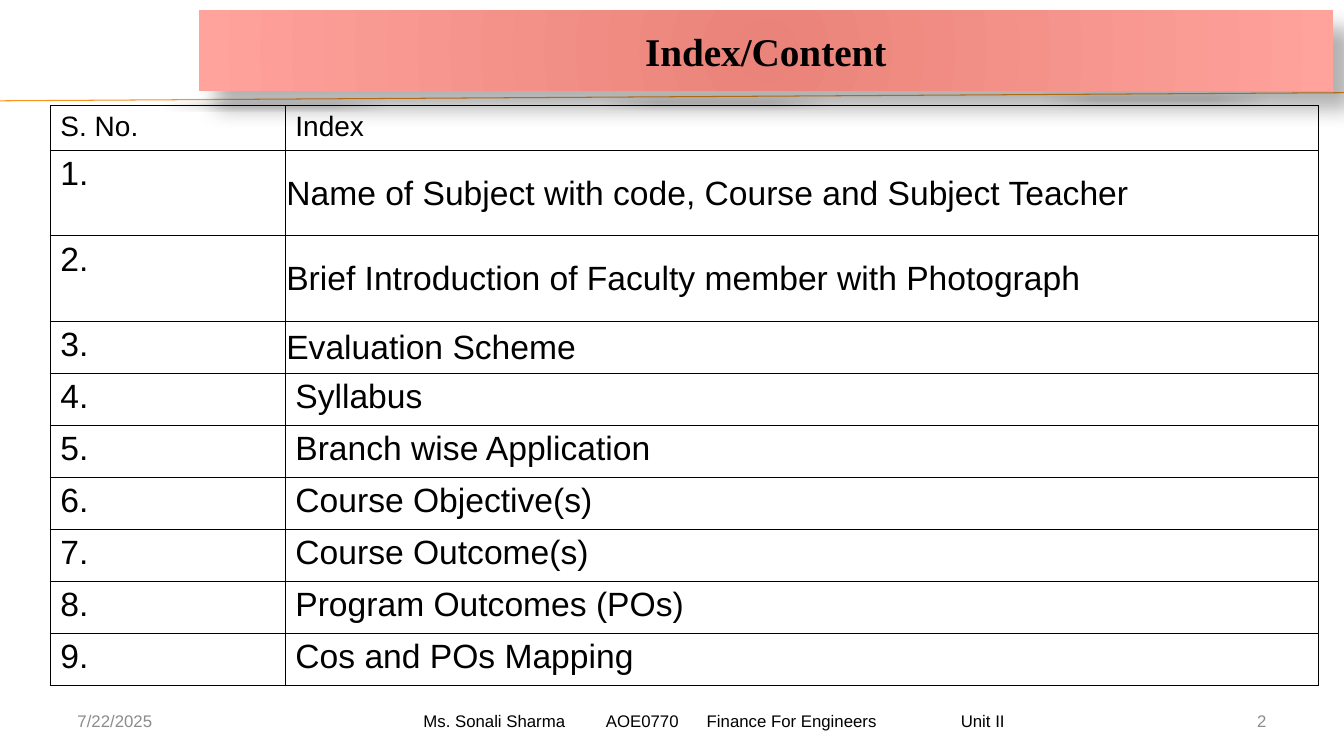
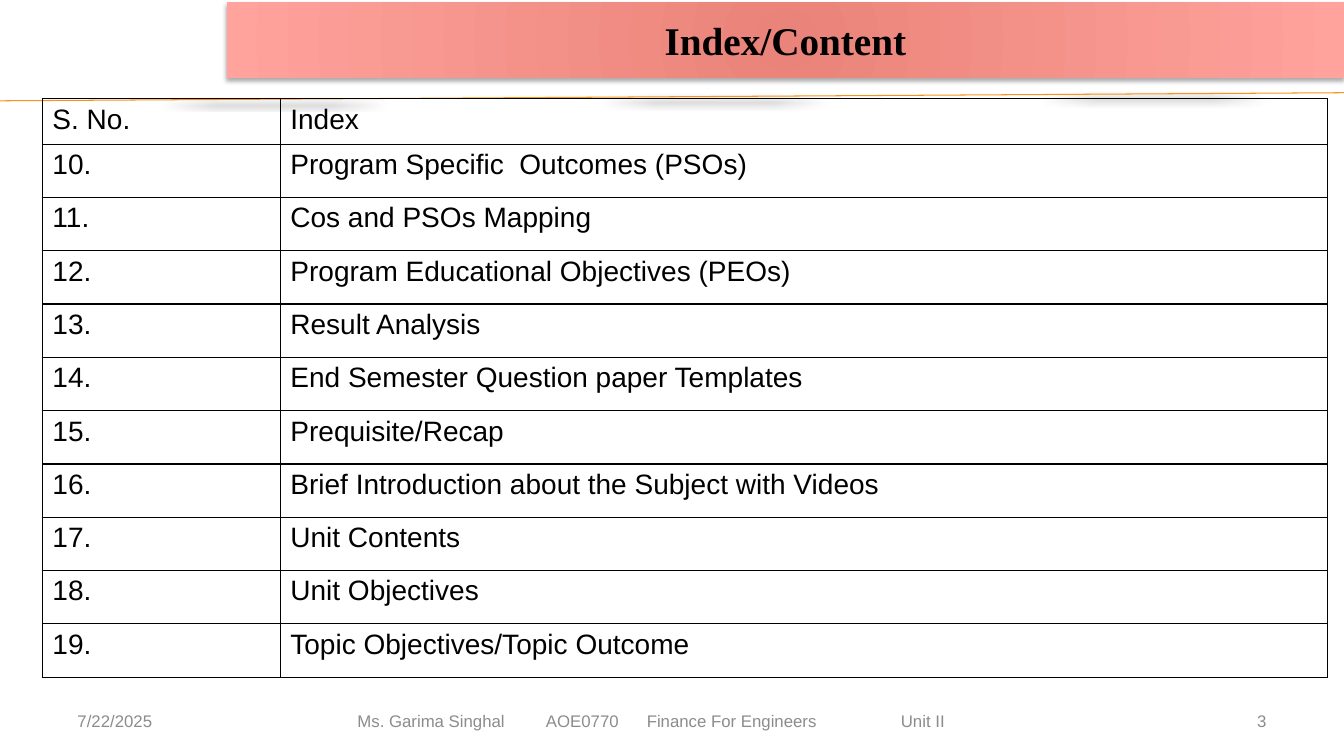
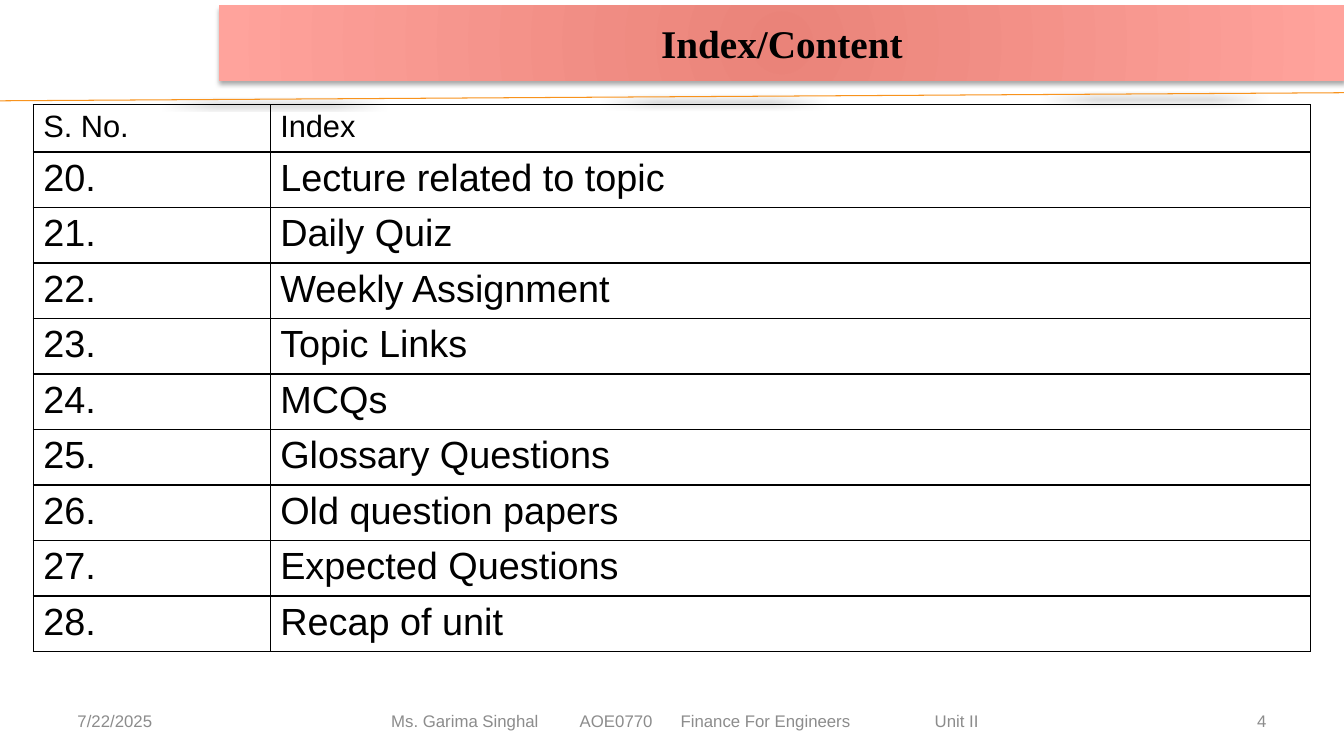
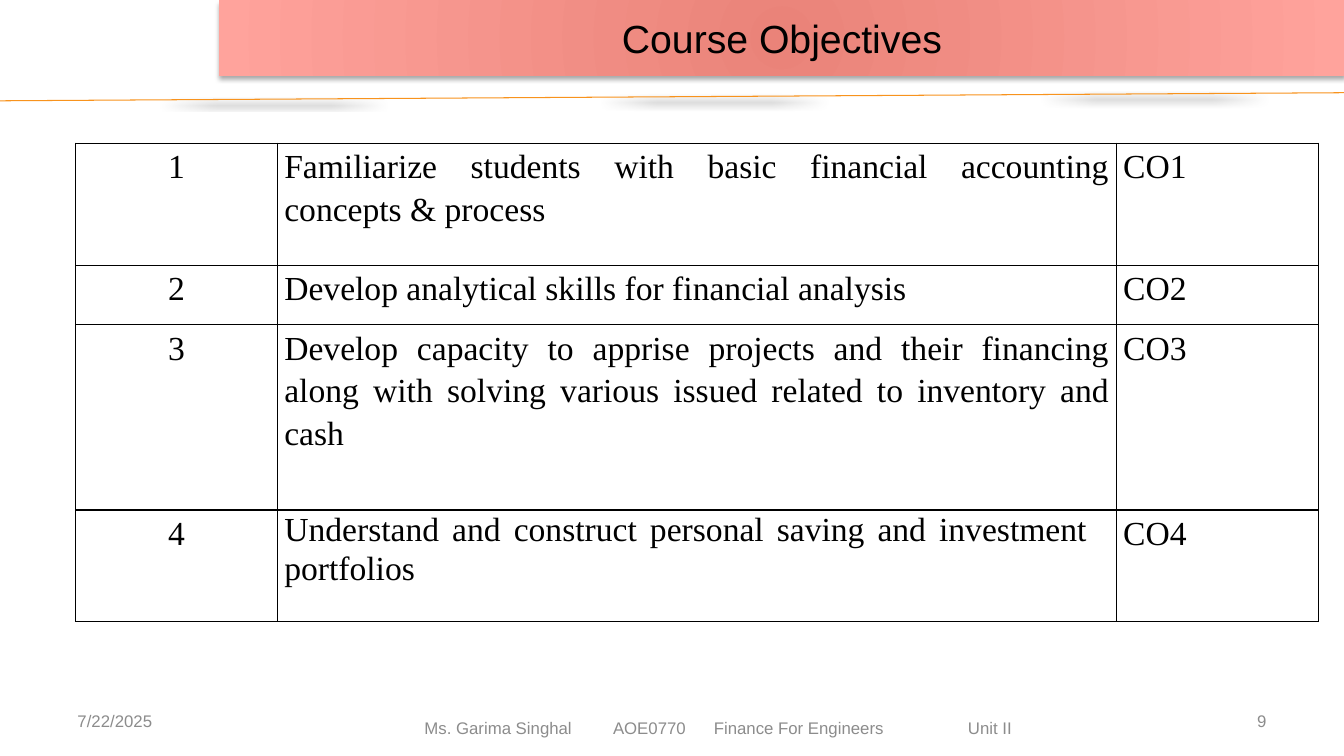
from lxml.etree import SubElement
from pptx import Presentation
from pptx.dml.color import RGBColor
from pptx.enum.shapes import MSO_CONNECTOR, MSO_SHAPE
from pptx.enum.text import MSO_ANCHOR, PP_ALIGN
from pptx.oxml.ns import qn
from pptx.util import Inches, Pt

# Shared style
BLACK, GREY, ORANGE = "000000", "8C8C8C", "F8931D"
BANNER_IN, BANNER_OUT = "EA8379", "FFA39C"
SANS, SERIF = "Arial", "Times New Roman"
LINE_SHADOW = (40, 4, 3, 90)  # opacity %, blur pt, distance pt, angle
SOFT_SHADOW = (32, 3.5, 2.2, 90)
DEEP_SHADOW = (30, 15, 18, 45)
CELL_INSETS = (0.1, 0.05, 0.1, 0.05)
TIGHT_INSETS = (0.01, 0.01, 0.01, 0)
DATE = "7/22/2025"
COURSE = ["AOE0770", "Finance For Engineers", "Unit II"]
SHARMA = ("Ms. Sonali Sharma", 1.81)  # name, offset of the course code
SINGHAL = ("Ms. Garima Singhal", 1.87)

# Content
INDEX_SLIDES = [
    dict(number=2, banner=(1.97, 0.1, 11.25, 0.8), shadow=DEEP_SHADOW,
         footer=(3.58, 6.95, 7), teacher=SHARMA, footer_color=BLACK,
         at=(0.5, 1.05), cols=(2.33, 10.25), height=5.75, head=0.44,
         sizes=(20, 24), first=1, tall=2, tight=3,
         items=["Name of Subject with code, Course and Subject Teacher",
                "Brief Introduction of Faculty member with Photograph",
                "Evaluation Scheme", "Syllabus", "Branch wise Application",
                "Course Objective(s)", "Course Outcome(s)",
                "Program Outcomes (POs)", "Cos and POs Mapping"]),
    dict(number=3, banner=(2.25, 0.02, 11.08, 0.75), shadow=SOFT_SHADOW,
         footer=(2.58, 6.95, 7.75), teacher=SINGHAL, footer_color=GREY,
         at=(0.42, 0.98), cols=(2.36, 10.39), height=5.74, head=0.45,
         sizes=(20, 20), first=10, tall=0, tight=0,
         items=["Program Specific  Outcomes (PSOs)", "Cos and PSOs Mapping",
                "Program Educational Objectives (PEOs)", "Result Analysis",
                "End Semester Question paper Templates", "Prequisite/Recap",
                "Brief Introduction about the Subject with Videos",
                "Unit Contents", "Unit Objectives",
                "Topic Objectives/Topic Outcome"]),
    dict(number=4, banner=(2.17, 0.05, 11.17, 0.75), shadow=SOFT_SHADOW,
         footer=(3.33, 6.95, 6.92), teacher=SINGHAL, footer_color=GREY,
         at=(0.33, 1.04), cols=(2.35, 10.32), height=5.12, head=0.44,
         sizes=(22, 27), first=20, tall=0, tight=0,
         items=["Lecture related to topic", "Daily Quiz", "Weekly Assignment",
                "Topic Links", "MCQs", "Glossary Questions",
                "Old question papers", "Expected Questions", "Recap of unit"]),
]
TALL_ROW = 0.85
OBJECTIVES_SLIDE = dict(
    number=9, banner=(2.17, 0, 11.17, 0.75), shadow=SOFT_SHADOW,
    footer=(4.08, 7.02, 6.08), teacher=SINGHAL, footer_color=GREY)
# text, row height, line spacing, right inset
OBJECTIVES = [
    ("Familiarize students with basic financial accounting concepts & process",
     1.21, 1.15, 0.07),
    ("Develop analytical skills for financial analysis", 0.59, 1.15, 0.07),
    ("Develop capacity to apprise projects and their financing along with "
     "solving various issued related to inventory and cash", 1.84, 1.15, 0.07),
    ("Understand and construct personal saving and investment portfolios",
     1.11, 1.05, 0.29),
]


def rgb(color):
    return RGBColor.from_string(color)


def add_run(p, text, size, color=BLACK, font=SANS, bold=False):
    r = p.add_run()
    r.text = text
    r.font.size, r.font.name, r.font.bold = Pt(size), font, bold
    r.font.color.rgb = rgb(color)


def add_color(parent, color, alpha=None):
    clr = SubElement(parent, qn("a:srgbClr"), val=color)
    if alpha is not None:
        SubElement(clr, qn("a:alpha"), val=str(alpha * 1000))


def add_shadow(sp, shadow):
    alpha, blur, dist, angle = shadow
    effects = SubElement(sp._element.spPr, qn("a:effectLst"))
    outer = SubElement(effects, qn("a:outerShdw"), blurRad=str(Pt(blur)),
                       dist=str(Pt(dist)), dir=str(angle * 60000),
                       algn="ctr", rotWithShape="0")
    add_color(outer, BLACK, alpha)


def add_radial_fill(sp):
    sp.fill.gradient()
    grad = sp._element.spPr.find(qn("a:gradFill"))
    for child in list(grad):
        grad.remove(child)
    stops = SubElement(grad, qn("a:gsLst"))
    for pos, color in (("0", BANNER_IN), ("100000", BANNER_OUT)):
        add_color(SubElement(stops, qn("a:gs"), pos=pos), color)
    circle = SubElement(grad, qn("a:path"), path="circle")
    SubElement(circle, qn("a:fillToRect"), **dict.fromkeys("ltrb", "100000"))


def add_banner(s, title, box, shadow, font, bold):
    sp = s.shapes.add_shape(MSO_SHAPE.RECTANGLE, *map(Inches, box))
    add_radial_fill(sp)
    sp.line.fill.background()
    add_shadow(sp, shadow)
    tf = sp.text_frame
    tf.vertical_anchor = MSO_ANCHOR.MIDDLE
    p = tf.paragraphs[0]
    p.alignment = PP_ALIGN.CENTER
    add_run(p, title, 28, font=font, bold=bold)


def add_footer_text(s, text, left, top, width, color=GREY, align=PP_ALIGN.LEFT,
                    inset=0.1, tabs=()):
    box = s.shapes.add_textbox(*map(Inches, (left, top, width, 0.4)))
    tf = box.text_frame
    tf.word_wrap = True
    tf.vertical_anchor = MSO_ANCHOR.MIDDLE
    tf.margin_left = Inches(inset)
    p = tf.paragraphs[0]
    p.alignment = align
    if tabs:
        tab_list = SubElement(p._p.get_or_add_pPr(), qn("a:tabLst"))
        for pos in tabs:
            SubElement(tab_list, qn("a:tab"), pos=str(Inches(pos)), algn="l")
    add_run(p, text, 12, color)


def add_slide(prs, spec, title, font, bold):
    s = prs.slides.add_slide(prs.slide_layouts[6])
    # Rule under the banner
    rule = s.shapes.add_connector(MSO_CONNECTOR.STRAIGHT, 0, Inches(1),
                                  prs.slide_width, Inches(0.92))
    rule.line.color.rgb = rgb(ORANGE)
    rule.line.width = Pt(0.75)
    add_shadow(rule, LINE_SHADOW)
    add_banner(s, title, spec["banner"], spec["shadow"], font, bold)
    # Date, course line centred in its box, slide number
    add_footer_text(s, DATE, 0.67, 6.95, 1.75)
    name, code_at = spec["teacher"]
    left, top, width = spec["footer"]
    text_width = code_at + 3.95
    add_footer_text(s, "\t".join([name] + COURSE), left, top, width,
                    spec["footer_color"], inset=(width - text_width) / 2,
                    tabs=(code_at, code_at + 1, code_at + 3.52))
    add_footer_text(s, str(spec["number"]), 10.33, 6.95, 2.33,
                    align=PP_ALIGN.RIGHT)
    return s


def add_grid(s, at, cols, rows):
    size = (sum(cols), sum(rows))
    table = s.shapes.add_table(len(rows), len(cols),
                               *map(Inches, at + size)).table
    table.first_row = table.horz_banding = False
    for col, width in zip(table.columns, cols):
        col.width = Inches(width)
    for row, height in zip(table.rows, rows):
        row.height = Inches(height)
    return table


def fill_cell(cell, text, size, font=SANS, insets=CELL_INSETS,
              anchor=MSO_ANCHOR.TOP, align=PP_ALIGN.LEFT, spacing=None):
    (cell.margin_left, cell.margin_top,
     cell.margin_right, cell.margin_bottom) = map(Inches, insets)
    cell.vertical_anchor = anchor
    for side in ("lnL", "lnR", "lnT", "lnB"):
        ln = SubElement(cell._tc.get_or_add_tcPr(), qn("a:" + side),
                        w=str(Pt(1)))
        add_color(SubElement(ln, qn("a:solidFill")), BLACK)
    cell.fill.background()
    p = cell.text_frame.paragraphs[0]
    p.alignment = align
    if spacing:
        p.line_spacing = spacing
    add_run(p, text, size, font=font)


def build_index(prs, spec):
    s = add_slide(prs, spec, "Index/Content", SERIF, True)
    items, tall, head = spec["items"], spec["tall"], spec["head"]
    short = len(items) - tall
    row = (spec["height"] - head - tall * TALL_ROW) / short
    table = add_grid(s, spec["at"], spec["cols"],
                     [head] + [TALL_ROW] * tall + [row] * short)
    head_size, size = spec["sizes"]
    for col, text in enumerate(("S. No.", "Index")):
        fill_cell(table.cell(0, col), text, head_size)
    for i, item in enumerate(items, 1):
        fill_cell(table.cell(i, 0), f"{spec['first'] + i - 1}.", size)
        tight = i <= spec["tight"]
        fill_cell(table.cell(i, 1), item, size,
                  insets=TIGHT_INSETS if tight else CELL_INSETS,
                  anchor=MSO_ANCHOR.MIDDLE if tight else MSO_ANCHOR.TOP)


def build_objectives(prs):
    s = add_slide(prs, OBJECTIVES_SLIDE, "Course Objectives", SANS, False)
    table = add_grid(s, (0.75, 1.42), (2, 8.32, 2.01),
                     [height for _, height, _, _ in OBJECTIVES])
    for i, (text, _, spacing, right) in enumerate(OBJECTIVES):
        cells = [(str(i + 1), PP_ALIGN.CENTER, 1.15, 0.07),
                 (text, PP_ALIGN.JUSTIFY, spacing, right),
                 (f"CO{i + 1}", PP_ALIGN.LEFT, 1.15, 0.07)]
        for col, (words, align, ls, inset) in enumerate(cells):
            fill_cell(table.cell(i, col), words, 24, SERIF,
                      (0.07, 0, inset, 0), align=align, spacing=ls)


def main():
    prs = Presentation()
    prs.slide_width, prs.slide_height = Inches(13.33), Inches(7.5)
    for spec in INDEX_SLIDES:
        build_index(prs, spec)
    build_objectives(prs)
    prs.save("out.pptx")


if __name__ == "__main__":
    main()
